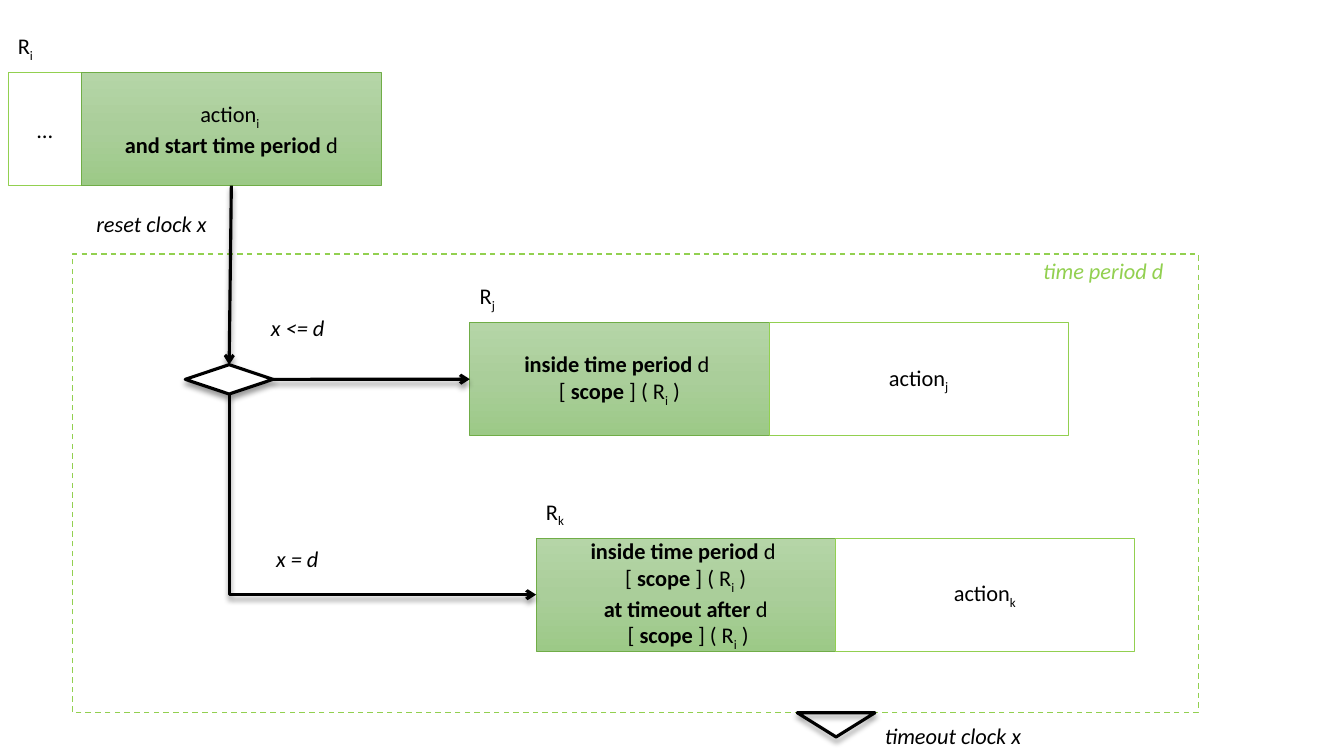
from copy import deepcopy

from lxml.etree import SubElement
from pptx import Presentation
from pptx.dml.color import RGBColor
from pptx.enum.dml import MSO_LINE
from pptx.enum.shapes import MSO_CONNECTOR, MSO_SHAPE
from pptx.enum.text import MSO_ANCHOR, MSO_AUTO_SIZE, PP_ALIGN
from pptx.oxml.ns import qn
from pptx.util import Cm, Pt

BLACK, WHITE, LIME, GREEN = "000000", "FFFFFF", "92D050", "70AD47"
GRADIENT = [(0, "B5D5A7"), (0.5, "AACE9A"), (1, "9CC987")]
CELL_WIDTH, CELL_HEIGHT = 7.54, 2.85
LABEL_RISE, LABEL_HEIGHT = 1.14, 0.94

# *bold* and _subscript_
RULES = [
    ("R_j_", 0.91, 11.84, 8.13, [
        (CELL_WIDTH, GRADIENT, ["*inside time period *d ", "[ *scope* ] ( R_i_ )"]),
        (CELL_WIDTH, None, ["action_j_"]),
    ]),
    ("R_i_", 0.91, 0.2, 1.83, [
        (1.86, None, ["…"]),
        (CELL_WIDTH, GRADIENT, ["action_i _", "*and start time period *d"]),
    ]),
    ("R_k_", 0.99, 13.51, 13.56, [
        (CELL_WIDTH, GRADIENT, ["*inside time period *d ", "[ *scope* ] ( R_i_ )",
                                "*at timeout after *d", " [ *scope* ] ( R_i_ )"]),
        (CELL_WIDTH, WHITE, ["action_k_"]),
    ]),
]
NOTES = [
    ("reset clock x", 2.18, 5.16, 3.45, BLACK),
    ("x <= d", 6.58, 7.8, 1.88, BLACK),
    ("x = d", 6.71, 13.61, 1.6, BLACK),
    ("timeout clock x", 22.05, 18.08, 4.11, BLACK),
    ("time period d", 26.04, 6.35, 3.58, LIME),
]
PERIOD = (1.83, 6.4, 28.37, 11.56)
DECISION = (4.67, 9.19, 2.21, 0.74)
TIMEOUT = (20.09, 17.96, 1.96, 0.61)


def color(value):
    return RGBColor.from_string(value)


def write(frame, lines, align=PP_ALIGN.LEFT, italic=None, ink=BLACK):
    for number, line in enumerate(lines):
        paragraph = frame.add_paragraph() if number else frame.paragraphs[0]
        paragraph.alignment = align
        for bold, part in enumerate(line.split("*")):
            for lowered, text in enumerate(part.split("_")):
                if not text:
                    continue
                run = paragraph.add_run()
                run.text = text
                font = run.font
                font.name, font.size = "Calibri", Pt(16)
                font.bold, font.italic = bold % 2 == 1, italic
                font.color.rgb = color(ink)
                if lowered % 2:
                    font._element.set("baseline", "-25000")


def add_label(shapes, text, left, top, width, **format):
    box = shapes.add_textbox(Cm(left), Cm(top), Cm(width), Cm(LABEL_HEIGHT))
    box.text_frame.word_wrap = False
    box.text_frame.auto_size = MSO_AUTO_SIZE.SHAPE_TO_FIT_TEXT
    write(box.text_frame, [text], **format)


def paint(fill, paint_value):
    if paint_value is None:
        fill.background()
    elif isinstance(paint_value, str):
        fill.solid()
        fill.fore_color.rgb = color(paint_value)
    else:
        fill.gradient()
        fill.gradient_angle = 270
        first = fill.gradient_stops[0]._gs
        first.addnext(deepcopy(first))
        for stop, (position, value) in zip(fill.gradient_stops, paint_value):
            stop.position = position
            stop.color.rgb = color(value)


def add_block(shapes, kind, place, fill, line, weight):
    shape = shapes.add_shape(kind, *map(Cm, place))
    shape.shadow.inherit = False
    paint(shape.fill, fill)
    shape.line.color.rgb = color(line)
    shape.line.width = Pt(weight)
    return shape


def cast_shadow(shape):
    properties = shape._element.spPr
    effects = properties.find(qn("a:effectLst"))
    if effects is None:
        effects = SubElement(properties, qn("a:effectLst"))
    shadow = SubElement(effects, qn("a:outerShdw"), blurRad=str(Pt(4)),
                        dist=str(Pt(3)), dir="5400000", rotWithShape="0")
    tint = SubElement(shadow, qn("a:srgbClr"), val=BLACK)
    SubElement(tint, qn("a:alpha"), val="40000")


def add_arrow(shapes, start, end, kind=MSO_CONNECTOR.STRAIGHT):
    arrow = shapes.add_connector(kind, *map(Cm, start + end))
    arrow.line.color.rgb = color(BLACK)
    arrow.line.width = Pt(2.25)
    SubElement(arrow._element.spPr.find(qn("a:ln")), qn("a:tailEnd"), type="arrow")
    cast_shadow(arrow)
    return arrow


def add_corner_arrow(shapes, start, end):
    arrow = add_arrow(shapes, start, end, MSO_CONNECTOR.ELBOW)
    across, down = end[0] - start[0], end[1] - start[1]
    arrow.left = Cm((start[0] + end[0] - down) / 2)
    arrow.top = Cm((start[1] + end[1] - across) / 2)
    arrow.width, arrow.height = Cm(down), Cm(across)
    properties = arrow._element.spPr
    properties.find(qn("a:prstGeom")).set("prst", "bentConnector2")
    frame = properties.find(qn("a:xfrm"))
    frame.set("rot", "16200000")
    frame.set("flipH", "1")


def add_rule(shapes, label, label_width, left, top, cells):
    group = shapes.add_group_shape().shapes
    for width, fill, lines in cells:
        line, weight = (GREEN, 0.5) if fill == GRADIENT else (LIME, 0.25)
        cell = add_block(group, MSO_SHAPE.RECTANGLE, (left, top, width, CELL_HEIGHT),
                         fill, line, weight)
        cell.text_frame.word_wrap = True
        cell.text_frame.vertical_anchor = MSO_ANCHOR.MIDDLE
        write(cell.text_frame, lines, align=PP_ALIGN.CENTER)
        left += width
    start = left - sum(cell[0] for cell in cells)
    add_label(group, label, start, top - LABEL_RISE, label_width)


def main():
    presentation = Presentation()
    presentation.slide_width, presentation.slide_height = Cm(33.87), Cm(19.05)
    slide = presentation.slides.add_slide(presentation.slide_layouts[6])
    shapes = slide.shapes

    period = add_block(shapes, MSO_SHAPE.RECTANGLE, PERIOD, None, LIME, 1)
    period.line.dash_style = MSO_LINE.DASH
    for rule in RULES:
        add_rule(shapes, *rule)

    (j_left, j_top), (i_left, i_top), (k_left, k_top) = [rule[2:4] for rule in RULES]
    left, top, width, height = DECISION
    center, half_cell = left + width / 2, CELL_HEIGHT / 2
    action_center = i_left + RULES[1][4][0][0] + CELL_WIDTH / 2

    add_arrow(shapes, (left + width, top + height / 2), (j_left, j_top + half_cell))
    add_arrow(shapes, (action_center, i_top + CELL_HEIGHT), (center, top))
    cast_shadow(add_block(shapes, MSO_SHAPE.FLOWCHART_DECISION, DECISION,
                          WHITE, BLACK, 2.25))
    add_corner_arrow(shapes, (center, top + height), (k_left, k_top + half_cell))
    timeout = add_block(shapes, MSO_SHAPE.ISOSCELES_TRIANGLE, TIMEOUT, None, BLACK, 2.25)
    timeout.rotation = 180
    cast_shadow(timeout)

    for text, left, top, width, ink in NOTES:
        add_label(shapes, text, left, top, width, italic=True, ink=ink)

    presentation.save("out.pptx")


if __name__ == "__main__":
    main()
